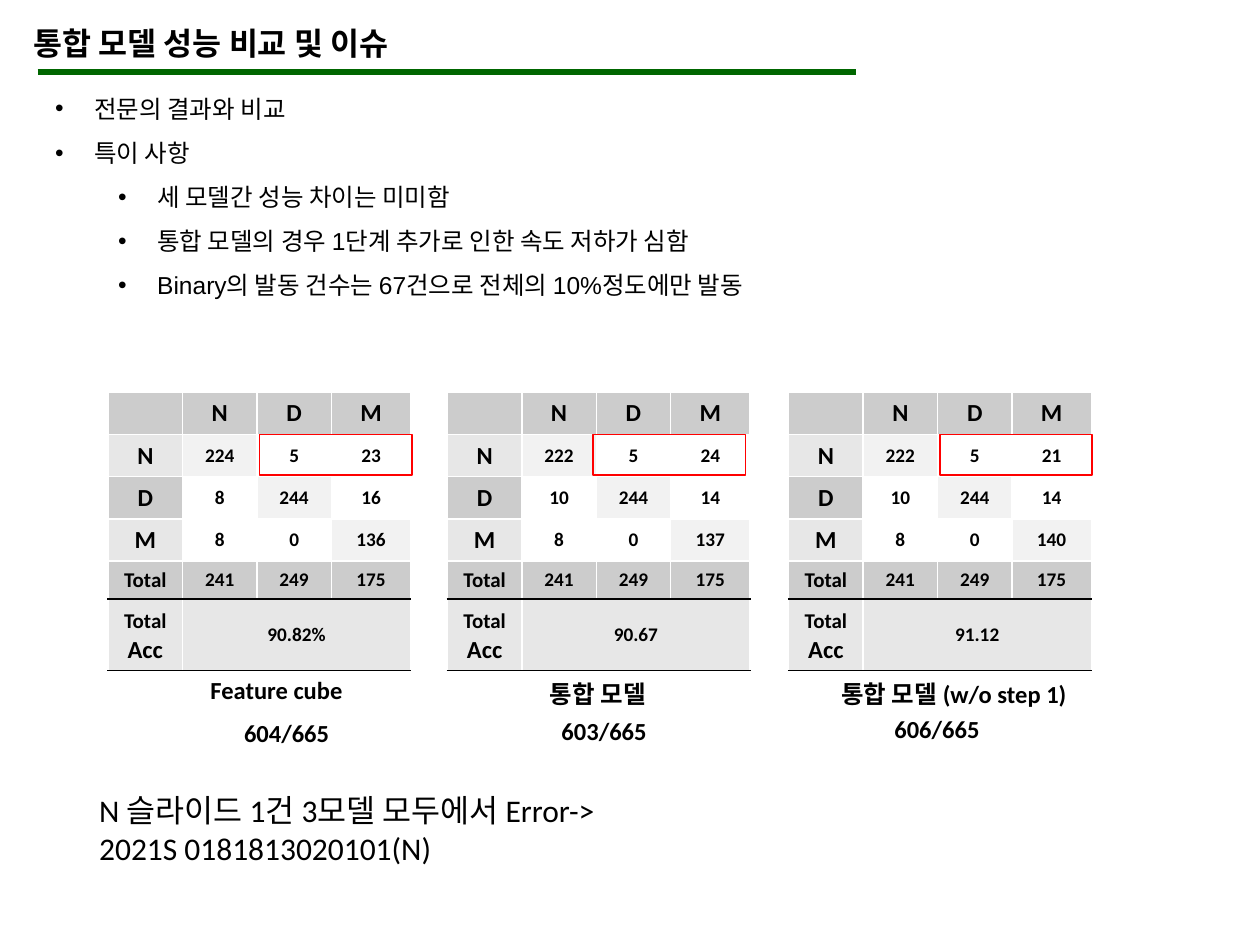
from dataclasses import dataclass

from lxml import etree
from pptx import Presentation
from pptx.dml.color import RGBColor
from pptx.enum.shapes import MSO_CONNECTOR, MSO_SHAPE
from pptx.enum.text import MSO_ANCHOR, MSO_AUTO_SIZE, PP_ALIGN
from pptx.oxml.ns import qn
from pptx.util import Cm, Pt

CENTER, LEFT = PP_ALIGN.CENTER, PP_ALIGN.LEFT
MIDDLE = MSO_ANCHOR.MIDDLE
GROW = MSO_AUTO_SIZE.SHAPE_TO_FIT_TEXT
RECTANGLE = MSO_SHAPE.RECTANGLE
STRAIGHT = MSO_CONNECTOR.STRAIGHT

BLACK = RGBColor(0x00, 0x00, 0x00)
WHITE = RGBColor(0xFF, 0xFF, 0xFF)
GREEN = RGBColor(0x00, 0x66, 0x00)
RED = RGBColor(0xFF, 0x00, 0x00)
DARK_BAND = RGBColor(0xCC, 0xCC, 0xCC)
LIGHT_BAND = RGBColor(0xE7, 0xE7, 0xE7)
DIAGONAL = RGBColor(0xF2, 0xF2, 0xF2)

COLUMN_WIDTHS = (1.5, 1.5, 1.5, 1.6)
ROW_HEIGHTS = (0.86, 0.85, 0.85, 0.85, 0.76, 1.43)
CLASSES = ("N", "D", "M")
TOTALS = ("241", "249", "175")
TOTAL_ROW, ACCURACY_ROW = 4, 5
PANEL_TOP = 7.9

BULLETS = (
    (0, "전문의 결과와 비교"),
    (0, "특이 사항"),
    (1, "세 모델간 성능 차이는 미미함"),
    (1, "통합 모델의 경우 1단계 추가로 인한 속도 저하가 심함"),
    (1, "Binary의 발동 건수는 67건으로 전체의 10%정도에만 발동"),
)


@dataclass
class Panel:
    """One model's results; boxes are (x, y, width) in cm from the panel corner."""
    left: float
    counts: tuple
    accuracy: str
    caption: str
    caption_box: tuple
    score: str
    score_box: tuple
    marker_x: float


PANELS = (
    Panel(2.18, (("224", "5", "23"), ("8", "244", "16"), ("8", "0", "136")),
          "90.82%", "Feature cube", (1.35, 5.59, 4.09),
          "604/665", (2.49, 6.45, 6.58), 3.05),
    Panel(9.02, (("222", "5", "24"), ("10", "244", "14"), ("8", "0", "137")),
          "90.67", "통합 모델", (0.99, 5.66, 4.09),
          "603/665", (2.05, 6.4, 6.58), 2.94),
    Panel(15.9, (("222", "5", "21"), ("10", "244", "14"), ("8", "0", "140")),
          "91.12", "통합 모델 (w/o step 1)", (0.56, 5.66, 5.54),
          "606/665", (1.88, 6.37, 6.58), 3.05),
)


def add_run(paragraph, text, size, bold=False, font_name="Calibri"):
    run = paragraph.add_run()
    run.text = text
    run.font.name = font_name
    run.font.size = Pt(size)
    run.font.bold = bold
    run.font.color.rgb = BLACK


def add_text_frame(slide, left, top, width, height):
    box = slide.shapes.add_textbox(Cm(left), Cm(top), Cm(width), Cm(height))
    frame = box.text_frame
    frame.word_wrap = True
    frame.auto_size = GROW
    return frame


def add_lines(slide, left, top, width, height, lines, size, bold=False, align=LEFT):
    frame = add_text_frame(slide, left, top, width, height)
    for index, line in enumerate(lines):
        paragraph = frame.add_paragraph() if index else frame.paragraphs[0]
        paragraph.alignment = align
        add_run(paragraph, line, size, bold)


def add_title(slide, left, top, width):
    add_lines(slide, left, top, width, 1.02, ["통합 모델 성능 비교 및 이슈"], 18, bold=True)
    rule_y = Cm(top + 1.09)
    rule = slide.shapes.add_connector(
        STRAIGHT, Cm(left + 0.33), rule_y, Cm(left + 16.82), rule_y)
    rule.line.color.rgb = GREEN
    rule.line.width = Pt(3)
    etree.SubElement(rule.element.spPr, qn("a:effectLst"))


def add_bullets(slide, left, top, width, height):
    frame = add_text_frame(slide, left, top, width, height)
    for index, (level, text) in enumerate(BULLETS):
        paragraph = frame.add_paragraph() if index else frame.paragraphs[0]
        paragraph.level = level
        paragraph.line_spacing = 1.5
        properties = paragraph._p.get_or_add_pPr()
        properties.set("marL", str(Cm(0.79 + 1.27 * level)))
        properties.set("indent", str(Cm(-0.79)))
        etree.SubElement(properties, qn("a:buFont"), typeface="Arial")
        etree.SubElement(properties, qn("a:buChar"), char="•")
        add_run(paragraph, text, 14, font_name="Arial")


def set_borders(cell, top, bottom):
    properties = cell._tc.get_or_add_tcPr()
    sides = (("L", WHITE), ("R", WHITE), ("T", top), ("B", bottom))
    for index, (side, color) in enumerate(sides):
        line = etree.Element(qn(f"a:ln{side}"), w=str(Pt(1)))
        fill = etree.SubElement(line, qn("a:solidFill"))
        etree.SubElement(fill, qn("a:srgbClr"), val=str(color))
        properties.insert(index, line)


def cell_fill(row, column):
    if row in (0, TOTAL_ROW):
        return DARK_BAND
    if row == ACCURACY_ROW:
        return LIGHT_BAND
    if column == 0:
        return LIGHT_BAND if row % 2 else DARK_BAND
    return DIAGONAL if row == column else WHITE


def cell_runs(panel, row, column):
    """Return the (text, size) runs of one cell."""
    if row == ACCURACY_ROW:
        return ([("Total", 12), (" Acc", 14)], [(panel.accuracy, 11)], [], [])[column]
    if row == TOTAL_ROW:
        return [(TOTALS[column - 1], 11)] if column else [("Total", 12)]
    if row and column:
        return [(panel.counts[row - 1][column - 1], 11)]
    return [(CLASSES[row + column - 1], 14)] if row + column else []


def add_confusion_table(slide, panel, left, top):
    table = slide.shapes.add_table(
        len(ROW_HEIGHTS), len(COLUMN_WIDTHS), Cm(left), Cm(top),
        Cm(sum(COLUMN_WIDTHS)), Cm(sum(ROW_HEIGHTS))).table
    for column, width in zip(table.columns, COLUMN_WIDTHS):
        column.width = Cm(width)
    for row, height in zip(table.rows, ROW_HEIGHTS):
        row.height = Cm(height)
    for row in range(len(ROW_HEIGHTS)):
        for column in range(len(COLUMN_WIDTHS)):
            cell = table.cell(row, column)
            cell.vertical_anchor = MIDDLE
            set_borders(cell, BLACK if row == ACCURACY_ROW else WHITE,
                        BLACK if row >= TOTAL_ROW else WHITE)
            cell.fill.solid()
            cell.fill.fore_color.rgb = cell_fill(row, column)
            paragraph = cell.text_frame.paragraphs[0]
            paragraph.alignment = CENTER
            for text, size in cell_runs(panel, row, column):
                add_run(paragraph, text, size, bold=True)
    corner = table.cell(0, 0)
    corner.margin_top = corner.margin_bottom = 0
    table.cell(ACCURACY_ROW, 1).merge(table.cell(ACCURACY_ROW, 3))


def add_panel(slide, panel, left, top):
    add_confusion_table(slide, panel, left, top)
    for text, (x, y, width), align in (
            (panel.caption, panel.caption_box, CENTER),
            (panel.score, panel.score_box, LEFT)):
        add_lines(slide, left + x, top + y, width, 0.86, [text], 14, True, align)
    marker = slide.shapes.add_shape(
        RECTANGLE, Cm(left + panel.marker_x), Cm(top + 0.86), Cm(3.07), Cm(0.81))
    marker.shadow.inherit = False
    marker.fill.background()
    marker.line.color.rgb = RED
    marker.line.width = Pt(1)


def main():
    presentation = Presentation()
    presentation.slide_width = Cm(25.4)
    presentation.slide_height = Cm(19.05)
    slide = presentation.slides.add_slide(presentation.slide_layouts[6])
    add_title(slide, 0.43, 0.36, 14.96)
    add_bullets(slide, 0.86, 1.47, 21.16, 5.64)
    for panel in PANELS:
        add_panel(slide, panel, panel.left, PANEL_TOP)
    add_lines(slide, 1.75, 15.82, 13.08, 1.8,
              ["N 슬라이드 1건 3모델 모두에서 Error->", "2021S 0181813020101(N)"], 18)
    presentation.save("out.pptx")


if __name__ == "__main__":
    main()
